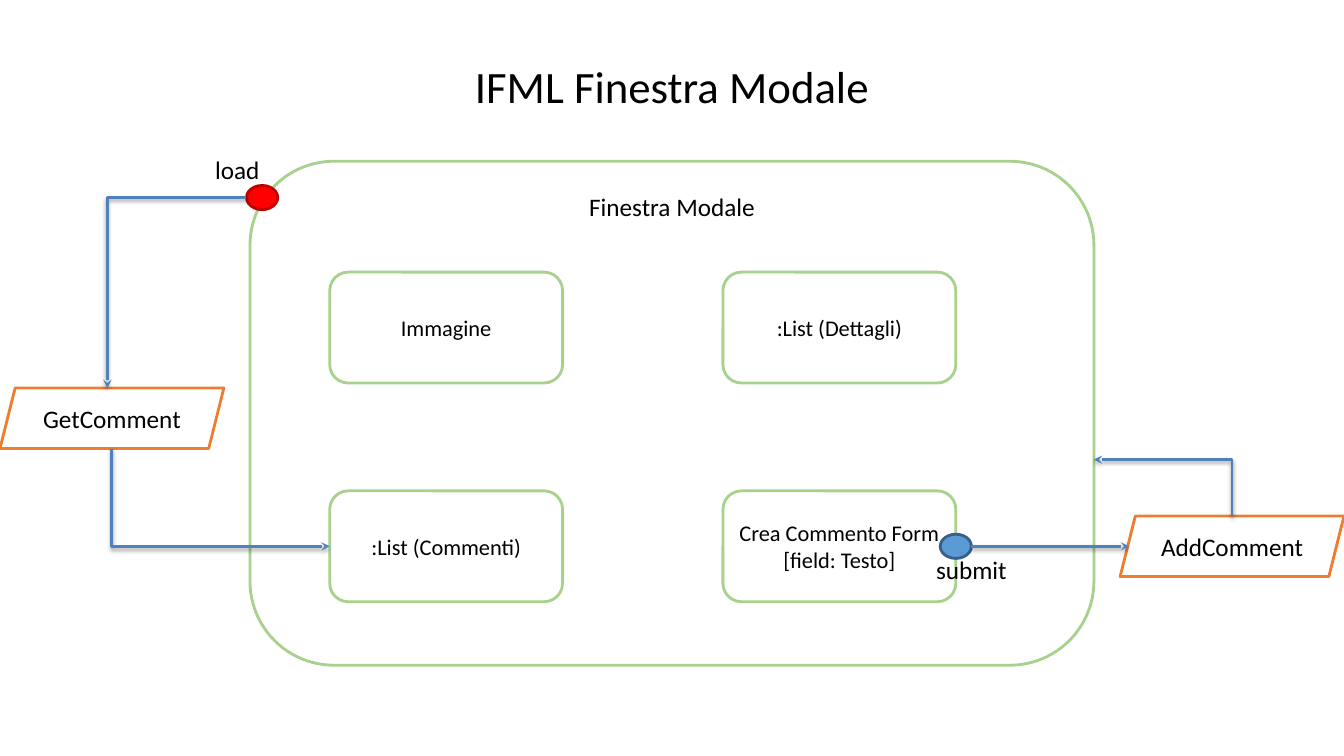
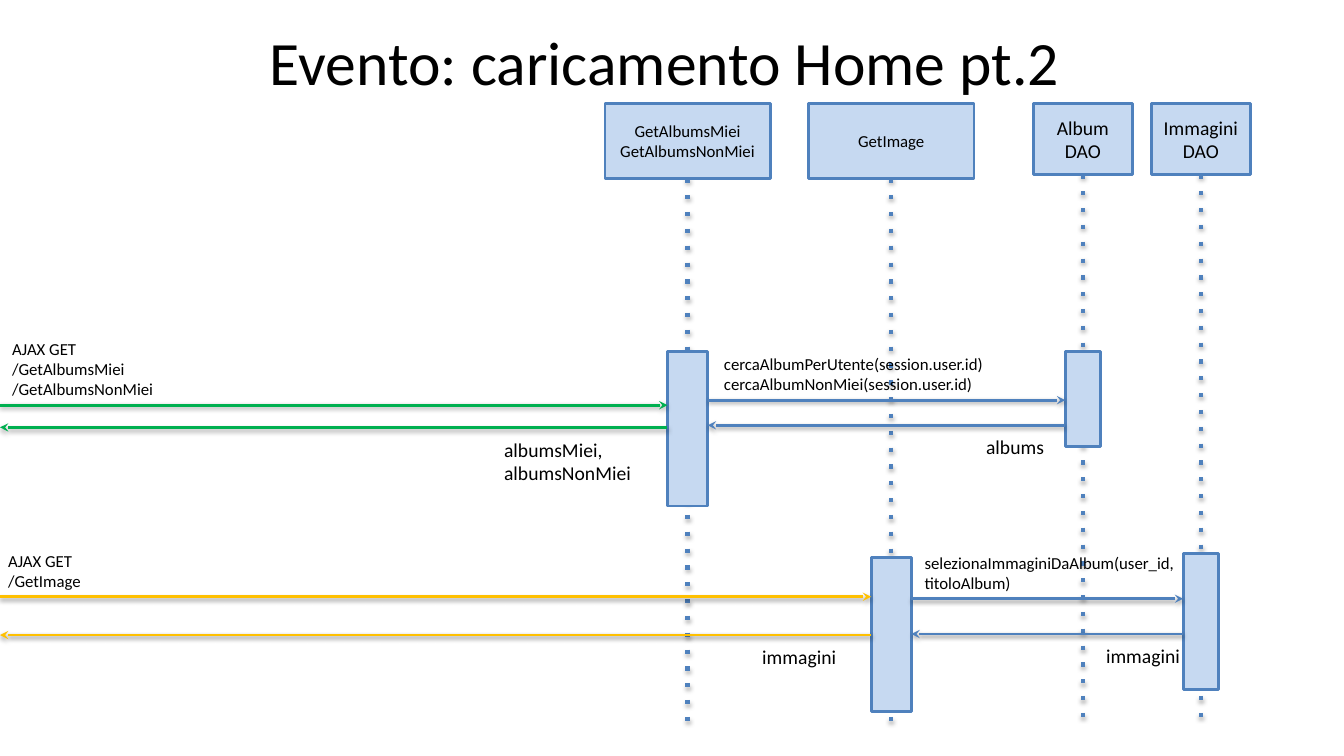
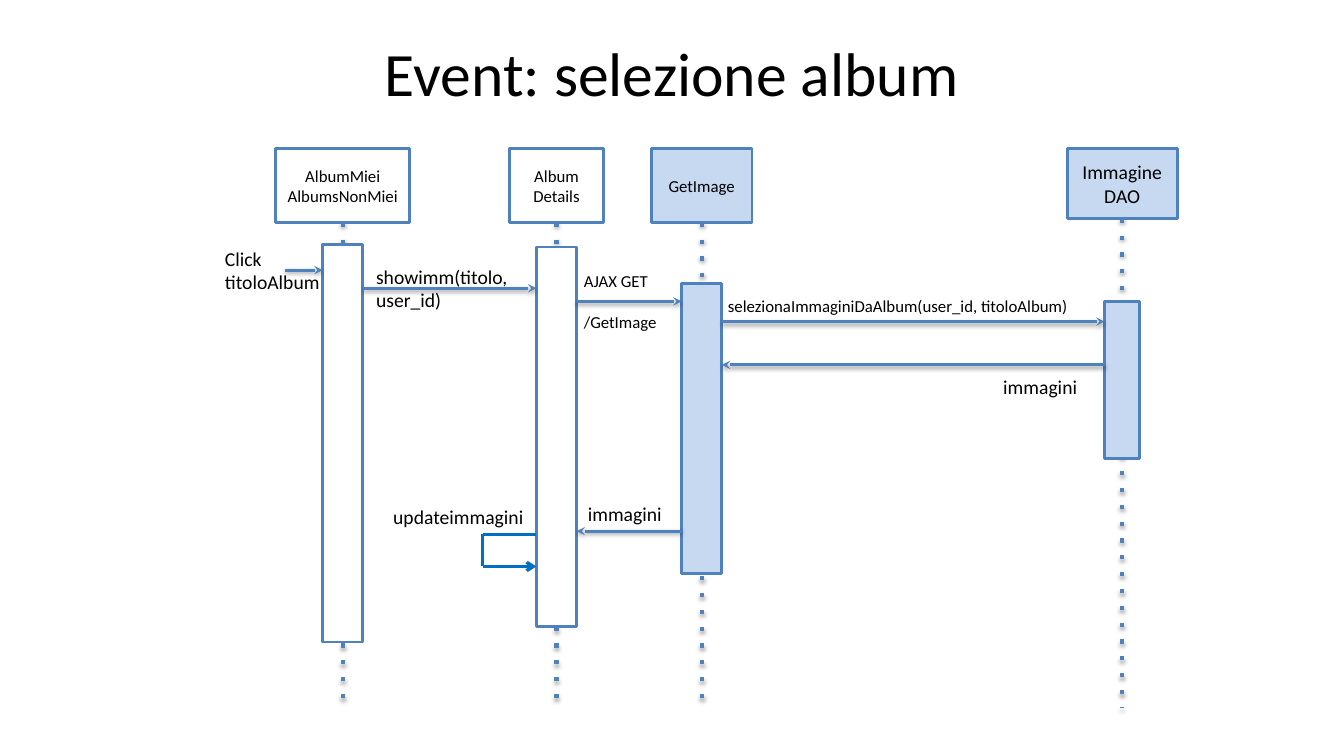
import pptx
import pptx.util
import pptx.dml.color
import pptx.enum.shapes
import pptx.enum.text
import pptx.oxml
import pptx.oxml.ns

Inches, Pt = pptx.util.Inches, pptx.util.Pt
RGB = pptx.dml.color.RGBColor.from_string
SHAPE = pptx.enum.shapes.MSO_SHAPE
CONN = pptx.enum.shapes.MSO_CONNECTOR
ALIGN = pptx.enum.text.PP_ALIGN
ANCHOR = pptx.enum.text.MSO_ANCHOR
ABOVE, ACROSS, BELOW = ANCHOR.BOTTOM, ANCHOR.MIDDLE, ANCHOR.TOP
qn = pptx.oxml.ns.qn

W, H = 13.33, 7.5
FONT = "Calibri"
BLACK, WHITE = RGB("000000"), RGB("FFFFFF")
BLUE, PALE, LOOP_BLUE = RGB("4F81BD"), RGB("C6D9F1"), RGB("0070C0")
GREEN, YELLOW = RGB("00B050"), RGB("FFC000")
MINT, ORANGE = RGB("A9D18E"), RGB("ED7D31")
RED, DARK_RED = RGB("FF0000"), RGB("C00000")
SKY, NAVY = RGB("5B9BD5"), RGB("395E89")

MODAL = (2.48, 1.6, 8.37, 5)
COLS, ROWS, CELL = (3.27, 7.17), (2.7, 4.87), (2.31, 1.1)
ACTION, EVENT = (2.22, 0.6), (0.31, 0.24)
COMPONENTS = [
    ["Immagine", ":List (Dettagli)"],
    [":List (Commenti)", "Crea Commento Form\n[field: Testo]"],
]

SEQUENCES = [
    {
        "title": "Evento: caricamento Home pt.2 ", "title_y": 0.6,
        "top": 1.03, "foot": 7.2, "edge": 0,
        "lanes": [
            ("GetAlbumsMiei\nGetAlbumsNonMiei", PALE, 6.82, 1.64, 3.49, 1.53),
            ("GetImage", PALE, 8.84, 1.64, 5.53, 1.53),
            ("Album\nDAO", PALE, 10.74, 0.98, 3.49, 0.94),
            ("Immagini\nDAO", PALE, 11.91, 0.98, 5.49, 1.35),
        ],
        "messages": [
            (GREEN, None, 0, 4.02, "AJAX GET\n/GetAlbumsMiei\n/GetAlbumsNonMiei", 0, ABOVE),
            (GREEN, 0, None, 4.24, "albumsMiei,\nalbumsNonMiei", 4.88, BELOW),
            (BLUE, 0, 2, 3.97, "cercaAlbumPerUtente(session.user.id)\n"
             "cercaAlbumNonMiei(session.user.id)", 7.06, ABOVE),
            (BLUE, 2, 0, 4.22, "albums", 9.66, BELOW),
            (YELLOW, None, 1, 5.92, "AJAX GET\n/GetImage", -0.04, ABOVE),
            (YELLOW, 1, None, 6.3, "immagini", 7.44, BELOW),
            (BLUE, 1, 3, 5.94, "selezionaImmaginiDaAlbum(user_id, titoloAlbum)", 9.05, ABOVE),
            (BLUE, 3, 1, 6.29, "immagini", 10.85, BELOW),
        ],
    },
    {
        "title": "Event: selezione album", "title_y": 0.71,
        "top": 1.47, "foot": 7.02, "edge": 2.83,
        "lanes": [
            ("AlbumMiei\nAlbumsNonMiei", WHITE, 3.4, 1.33, 2.43, 3.94),
            ("Album\nDetails", WHITE, 5.52, 0.93, 2.45, 3.77),
            ("GetImage", PALE, 6.96, 1, 2.81, 2.88),
            ("Immagine\nDAO", PALE, 11.13, 1.09, 2.99, 1.56),
        ],
        "messages": [
            (BLUE, None, 0, 2.68, "Click titoloAlbum", 2.11, ACROSS),
            (BLUE, 0, 1, 2.86, "showimm(titolo, user_id)", 3.61, ACROSS),
            (BLUE, 1, 2, 2.99, "AJAX GET\n/GetImage", 5.67, ACROSS),
            (BLUE, 2, 3, 3.19, "selezionaImmaginiDaAlbum(user_id, titoloAlbum)", 7.1, ABOVE),
            (BLUE, 3, 2, 3.62, "immagini", 9.83, BELOW),
            (BLUE, 2, 1, 5.27, "immagini", 5.71, ABOVE),
        ],
        "loop": (1, 5.3, "updateimmagini", 3.78),
    },
]


def put(obj, values):
    for name, value in values.items():
        setattr(obj, name, value)


def write(sp, text, size, align=ALIGN.LEFT, anchor=ANCHOR.TOP, inset=0.1, gap=0):
    tf = sp.text_frame
    put(tf, {"word_wrap": True, "auto_size": pptx.enum.text.MSO_AUTO_SIZE.NONE,
             "vertical_anchor": anchor})
    for side in ("left", "right", "top", "bottom"):
        share = inset if side in ("left", "right") else inset / 2
        setattr(tf, "margin_" + side, Inches(share))
    for i, line in enumerate(text.split("\n")):
        p = tf.add_paragraph() if i else tf.paragraphs[0]
        put(p, {"alignment": align, "space_before": Pt(gap if i else 0)})
        r = p.add_run()
        r.text = line
        put(r.font, {"name": FONT, "size": Pt(size)})
        r.font.color.rgb = BLACK


def add_slide(prs, title, middle, size):
    slide = prs.slides.add_slide(prs.slide_layouts[5])
    sp = slide.shapes.title
    put(sp, {"left": 0, "top": Inches(middle - 0.5), "width": Inches(W), "height": Inches(1)})
    write(sp, title, size, ALIGN.CENTER, ANCHOR.MIDDLE)
    return slide


def label(slide, text, size, at, **options):
    write(slide.shapes.add_textbox(*map(Inches, at)), text, size, **options)


def box(slide, kind, at, fill, line, text="", size=16):
    sp = slide.shapes.add_shape(kind, *map(Inches, at))
    sp.shadow.inherit = False
    sp.fill.solid()
    sp.fill.fore_color.rgb = fill
    sp.line.color.rgb = line
    sp.line.width = Pt(2)
    if text:
        write(sp, text, size, ALIGN.CENTER, ANCHOR.MIDDLE, 0.05)


def connect(slide, a, b, color=BLUE, width=2, route="straight", dash=None, tail="stealth",
            shadow=True):
    if route == "down":
        mx, my = (a[0] + b[0]) / 2, (a[1] + b[1]) / 2
        hx, hy = (b[1] - a[1]) / 2, (a[0] - b[0]) / 2
        a, b = (mx - hx, my - hy), (mx + hx, my + hy)
    kind = CONN.STRAIGHT if route == "straight" else CONN.ELBOW
    cx = slide.shapes.add_connector(kind, *map(Inches, (*a, *b)))
    cx.line.color.rgb = color
    cx.line.width = Pt(width)
    spPr = cx._element.spPr
    if route != "straight":
        spPr.find(qn("a:prstGeom")).set("prst", "bentConnector2")
    if route == "down":
        spPr.find(qn("a:xfrm")).set("rot", "5400000")
    ln = spPr.find(qn("a:ln"))
    for tag, name, value in (("a:prstDash", "val", dash), ("a:tailEnd", "type", tail)):
        if value:
            ln.append(ln.makeelement(qn(tag), {name: value}))
    shade = ('<a:outerShdw blurRad="39400" dist="20300" dir="5400000" rotWithShape="0">'
             '<a:srgbClr val="000000"><a:alpha val="38000"/></a:srgbClr></a:outerShdw>')
    spPr.append(pptx.oxml.parse_xml("<a:effectLst %s>%s</a:effectLst>" % (
        pptx.oxml.ns.nsdecls("a"), shade if shadow else "")))


def on(at, across, down):
    return at[0] + at[2] * across, at[1] + at[3] * down


def centred(point, size):
    return (point[0] - size[0] / 2, point[1] - size[1] / 2, *size)


def draw_modal(prs):
    slide = add_slide(prs, "IFML Finestra Modale", 0.85, 32)
    box(slide, SHAPE.ROUNDED_RECTANGLE, MODAL, WHITE, MINT)
    label(slide, "Finestra Modale", 18, (MODAL[0], 1.85, MODAL[2], 0.4), align=ALIGN.CENTER)
    cells = {}
    for y, names in zip(ROWS, COMPONENTS):
        for x, name in zip(COLS, names):
            cells[x, y] = (x, y, *CELL)
            box(slide, SHAPE.ROUNDED_RECTANGLE, cells[x, y], WHITE, MINT, name)
    comments, form = (cells[x, ROWS[1]] for x in COLS)
    submit = centred(on(form, 1, 0.5), EVENT)
    load = centred((2.6, 1.96), EVENT)
    get = (0, 3.85, *ACTION)
    add = centred((W - ACTION[0] / 2, on(form, 1, 0.5)[1]), ACTION)
    for at, fill, line in ((submit, SKY, NAVY), (load, RED, DARK_RED)):
        box(slide, SHAPE.OVAL, at, fill, line)
    for at, text in ((add, "AddComment"), (get, "GetComment")):
        box(slide, SHAPE.PARALLELOGRAM, at, WHITE, ORANGE, text, 18)
    for at, text, dx, dy in ((submit, "submit", -0.14, 0.15), (load, "load", -0.41, -0.36)):
        label(slide, text, 18, (at[0] + dx, at[1] + dy, 0.91, 0.3))
    for route, a, b in (
        ("straight", on(submit, 1, 0.5), on(add, 0.04, 0.5)),
        ("across", on(load, 0, 0.5), on(get, 0.48, 0)),
        ("down", on(get, 0.5, 1), on(comments, 0, 0.5)),
        ("down", on(add, 0.5, 0), (MODAL[0] + MODAL[2], 4.56)),
    ):
        connect(slide, a, b, route=route)


def message_label(slide, text, x, right, y, place):
    top = y - {ABOVE: 1, ACROSS: 0.5, BELOW: -0.04}[place]
    plain = text.startswith("AJAX") or "Album(" in text or "session" in text
    spread = 14.6 if place == ACROSS and plain else 0
    label(slide, text, 12 if plain else 14, (x, top, right + 0.2 - x, 1),
          anchor=place, inset=0.12, gap=spread)


def draw_sequence(prs, seq):
    slide = add_slide(prs, seq["title"], seq["title_y"], 44)
    bars = []
    for name, fill, x, width, top, height in seq["lanes"]:
        dao = "DAO" in name
        size, tall, thick = (14, 0.7, 0.35) if dao else (12, 0.74, 0.4)
        head = (x - width / 2, seq["top"], width, tall)
        bars.append((x - thick / 2, top, thick, height))
        connect(slide, on(head, 0.5, 1), (x, seq["foot"]), width=3, dash="dot", tail=None)
        box(slide, SHAPE.RECTANGLE, head, fill, BLUE, name, size)
        box(slide, SHAPE.RECTANGLE, bars[-1], fill, BLUE)
    edge = (seq["edge"], 0, 0, 0)
    for color, start, end, y, text, x, place in seq["messages"]:
        a, b = (edge if i is None else bars[i] for i in (start, end))
        forward = a[0] < b[0]
        ax, bx = on(a, forward, 0)[0], on(b, not forward, 0)[0]
        connect(slide, (ax, y), (bx, y), color)
        message_label(slide, text, x, max(ax, bx), y, place)
    if "loop" in seq:
        lane, y, text, x = seq["loop"]
        right = bars[lane][0]
        left, low = right - 0.53, y + 0.32
        points = [(right, y), (left, y), (left, low), (right, low)]
        for a, b in zip(points, points[1:]):
            connect(slide, a, b, LOOP_BLUE, 2.25, shadow=False,
                    tail="arrow" if b == points[-1] else None)
        message_label(slide, text, x, right, y, ABOVE)


def main():
    prs = pptx.Presentation()
    put(prs, {"slide_width": Inches(W), "slide_height": Inches(H)})
    draw_modal(prs)
    for seq in SEQUENCES:
        draw_sequence(prs, seq)
    prs.save("out.pptx")


if __name__ == "__main__":
    main()
